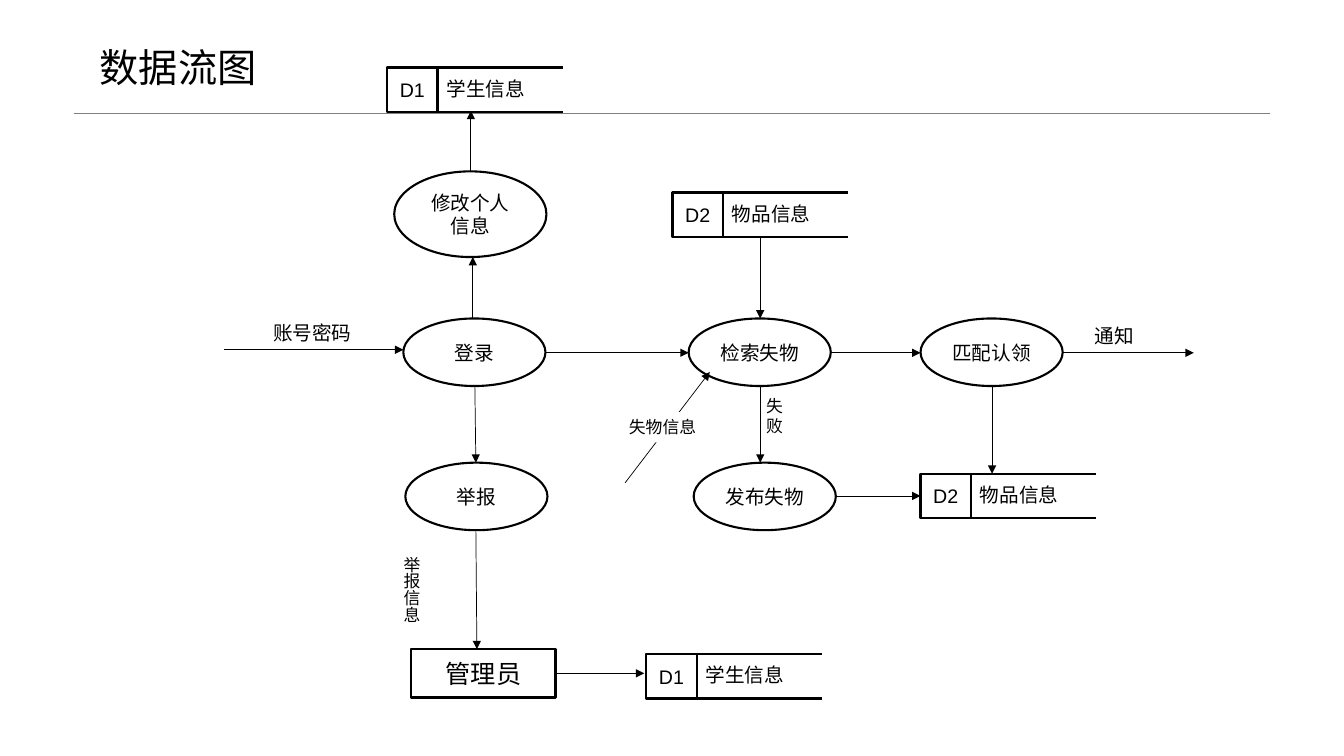
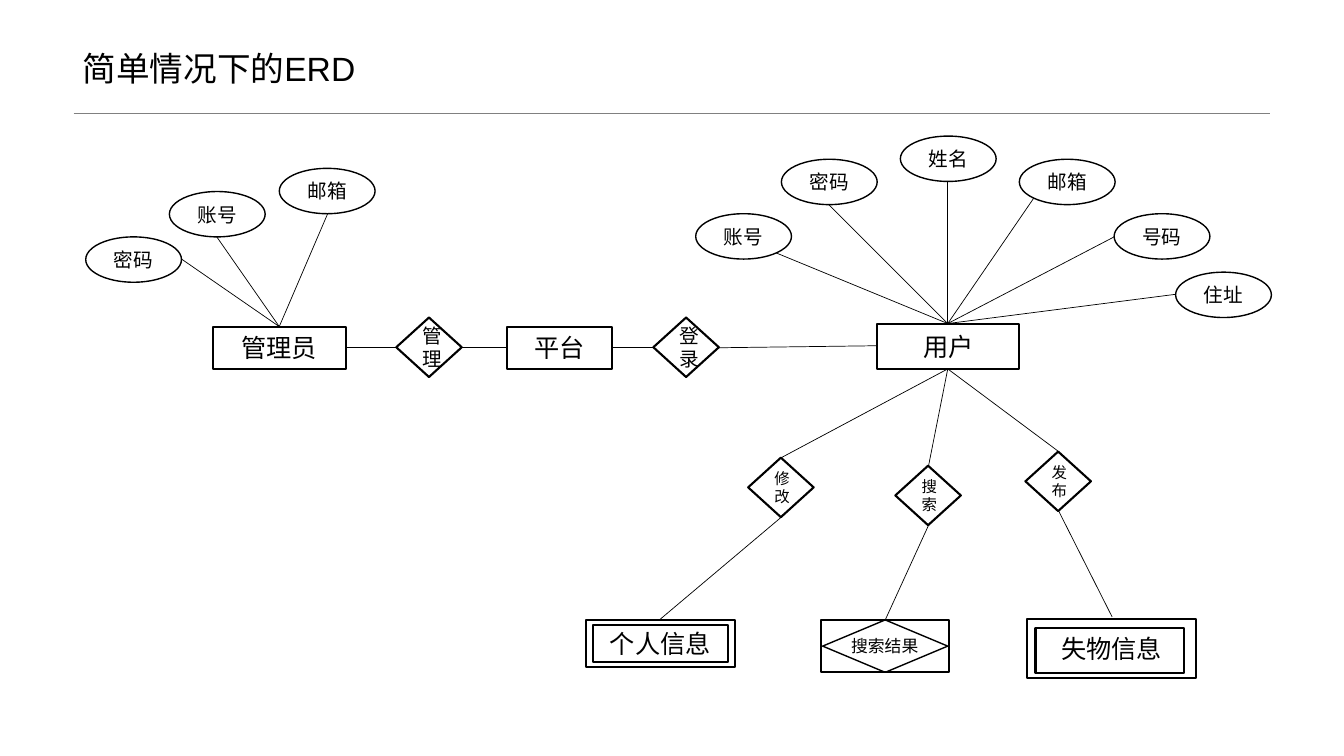
from dataclasses import dataclass
from typing import Any

from lxml.etree import SubElement
from pptx import Presentation
from pptx.dml.color import RGBColor
from pptx.enum.shapes import MSO_CONNECTOR as Conn, MSO_SHAPE as Kind
from pptx.enum.text import MSO_ANCHOR as Anchor, MSO_AUTO_SIZE as Fit, PP_ALIGN as Align
from pptx.oxml.ns import qn
from pptx.util import Inches, Pt

BLACK = RGBColor(0, 0, 0)
GREY = RGBColor(128, 128, 128)
WHITE = RGBColor(255, 255, 255)
FONT = "Arial"
FRAME = {"word_wrap": True, "auto_size": Fit.NONE}
Spot = tuple[float, float]


@dataclass
class Node:
    text: str
    x: float
    y: float
    w: float
    h: float
    kind: Kind = Kind.RECTANGLE
    size: float = 18
    line: float = 1.5


@dataclass
class Label:
    text: str
    x: float
    y: float
    w: float
    h: float = 0.34
    size: float = 14
    fill: bool = False
    vert: bool = False


@dataclass
class Store:
    code: str
    name: str
    x: float
    y: float


@dataclass
class Link:
    start: Spot
    end: Spot
    tip: bool = False
    width: float = 0.5
    color: RGBColor = BLACK


def apply(item: Any, values: dict[str, Any]) -> None:
    for key, value in values.items():
        setattr(item, key, value)


def write(shape: Any, text: str, size: float, align: Align, anchor: Anchor) -> None:
    frame = shape.text_frame
    apply(frame, FRAME | {"vertical_anchor": anchor})
    frame.text = text
    para = frame.paragraphs[0]
    para.alignment = align
    apply(para.runs[0].font, {"name": FONT, "size": Pt(size)})
    para.runs[0].font.color.rgb = BLACK


def place(item: Any) -> list[int]:
    return [Inches(v) for v in (item.x, item.y, item.w, item.h)]


def draw_link(slide: Any, link: Link) -> Any:
    ends = [Inches(v) for v in link.start + link.end]
    wire = slide.shapes.add_connector(Conn.STRAIGHT, *ends)
    wire.line.width = Pt(link.width)
    wire.line.color.rgb = link.color
    props = wire.element.spPr
    if link.tip:
        SubElement(props.find(qn("a:ln")), qn("a:tailEnd"), type="triangle")
    SubElement(props, qn("a:effectLst"))
    return wire


def draw_node(slide: Any, node: Node) -> None:
    shape = slide.shapes.add_shape(node.kind, *place(node))
    shape.shadow.inherit = False
    shape.fill.background()
    shape.line.width = Pt(node.line)
    shape.line.color.rgb = BLACK
    if node.text:
        write(shape, node.text, node.size, Align.CENTER, Anchor.MIDDLE)


def draw_label(slide: Any, label: Label) -> None:
    box = slide.shapes.add_textbox(*place(label))
    if label.fill:
        box.fill.solid()
        box.fill.fore_color.rgb = WHITE
    write(box, label.text, label.size, Align.LEFT, Anchor.TOP)
    if label.vert:
        box.text_frame._txBody.bodyPr.set("vert", "eaVert")


def draw_store(slide: Any, store: Store) -> None:
    x, y = store.x, store.y
    draw_node(slide, Node(store.code, x, y, 0.5, 0.44, size=14))
    for edge in (y, y + 0.44):
        draw_link(slide, Link((x + 0.49, edge), (x + 1.74, edge), width=1.5))
    draw_label(slide, Label(store.name, x + 0.49, y + 0.04, 1))


DRAW = {Node: draw_node, Label: draw_label, Store: draw_store, Link: draw_link}


def draw(slide: Any, items: list[Any]) -> None:
    for item in items:
        DRAW[type(item)](slide, item)


def add_page(deck: Any, head: Label) -> Any:
    slide = deck.slides.add_slide(deck.slide_layouts[5])
    title = slide.shapes.title
    spots = dict(zip(("left", "top", "width", "height"), place(head)))
    apply(title, spots)
    write(title, head.text, head.size, Align.LEFT, Anchor.TOP)
    return slide


def step(text: str, x: float, y: float) -> Node:
    return Node(text, x, y, 1.41, 0.67, Kind.OVAL, 14)


def trait(text: str, x: float, y: float) -> Node:
    return Node(text, x, y, 0.95, 0.45, Kind.OVAL, 14, 1)


def deed(text: str, x: float, y: float, size: float) -> Node:
    return Node(text, x, y, 0.65, 0.59, Kind.DIAMOND, size)


def fan(hub: Spot, ends: list[Spot]) -> list[Link]:
    return [Link(hub, end) for end in ends]


deck = Presentation()
apply(deck, {"slide_width": Inches(13.33), "slide_height": Inches(7.5)})

flow = add_page(deck, Label("数据流图", 0.89, 0.38, 3.45, 0.57, 28))
rule = draw_link(flow, Link((0.73, 1.12), (12.6, 1.12), width=0.25, color=GREY))
deck.slide_layouts[5].element.cSld.spTree.append(rule.element)

arrows = [
    ((2.22, 3.47), (4, 3.47)),
    ((10.54, 3.5), (11.84, 3.5)),
    ((4.67, 1.7), (4.67, 1.1)),
    ((5.41, 3.5), (6.83, 3.5)),
    ((8.24, 3.5), (9.13, 3.5)),
    ((7.54, 3.83), (7.54, 4.59)),
    ((4.69, 3.16), (4.69, 2.55)),
    ((7.54, 2.35), (7.54, 3.16)),
    ((6.2, 4.79), (7.04, 3.69)),
    ((4.71, 3.84), (4.72, 4.59)),
    ((4.72, 5.26), (4.73, 6.44)),
    ((8.29, 4.92), (9.13, 4.92)),
    ((9.84, 3.83), (9.84, 4.7)),
    ((5.5, 6.68), (6.39, 6.68)),
]
draw(flow, [Link(start, end, tip=True) for start, end in arrows])
draw(flow, [
    step("登录", 4, 3.16),
    step("检索失物", 6.83, 3.16),
    step("匹配认领", 9.13, 3.16),
    step("举报", 4.02, 4.59),
    step("发布失物", 6.88, 4.59),
    Node("修改个人信息", 3.91, 1.7, 1.51, 0.85, Kind.OVAL, 14),
    Node("管理员", 4.08, 6.44, 1.43, 0.48),
    Store("D1", "学生信息", 3.84, 0.67),
    Store("D2", "物品信息", 6.67, 1.91),
    Store("D2", "物品信息", 9.13, 4.7),
    Store("D1", "学生信息", 6.41, 6.49),
    Label("账号密码", 2.61, 3.13, 1.13),
    Label("通知", 10.76, 3.16, 0.65),
    Label("失物信息", 6.14, 4.09, 1, 0.3, 12, fill=True),
    Label("失败", 7.5, 3.88, 0.35, 0.5, 12),
    Label("举报信息", 3.83, 5.42, 0.4, 0.87, 12, vert=True),
])

erd = add_page(deck, Label("简单情况下的ERD", 0.72, 0.43, 3.68, 0.5, 24))
draw(erd, [
    Node("用户", 8.7, 3.21, 1.41, 0.45),
    Node("管理员", 2.11, 3.24, 1.32, 0.42),
    Node("平台", 5.03, 3.24, 1.04, 0.42),
    Node("失物信息", 10.19, 6.14, 1.67, 0.59),
    Node("", 10.27, 6.23, 1.47, 0.45),
    Node("个人信息", 5.88, 6.2, 1.34, 0.37),
    Node("", 5.81, 6.15, 1.48, 0.47),
    Node("搜索结果", 8.14, 6.15, 1.27, 0.52, size=12),
    Node("", 8.16, 6.15, 1.24, 0.52, Kind.DIAMOND, line=1),
    deed("管理", 3.93, 3.15, 14),
    deed("登录", 6.48, 3.15, 14),
    deed("修改", 7.42, 4.54, 11),
    deed("搜索", 8.88, 4.62, 11),
    deed("发布", 10.17, 4.48, 11),
    trait("密码", 0.85, 2.35),
    trait("账号", 1.68, 1.9),
    trait("邮箱", 2.77, 1.67),
    trait("账号", 6.9, 2.12),
    trait("密码", 7.75, 1.58),
    trait("姓名", 8.93, 1.35),
    trait("邮箱", 10.11, 1.58),
    trait("号码", 11.05, 2.12),
    trait("住址", 11.66, 2.7),
])
draw(erd, fan((2.77, 3.24), [(1.8, 2.57), (2.15, 2.35), (3.25, 2.12)]))
draw(erd, fan((9.4, 3.21), [
    (7.7, 2.51), (8.22, 2.03), (9.4, 1.8),
    (10.25, 1.97), (11.05, 2.35), (11.66, 2.92),
]))
draw(erd, fan((9.4, 3.66), [(7.75, 4.54), (9.21, 4.62), (10.5, 4.48)]))
draw(erd, [
    Link((3.43, 3.45), (3.93, 3.45)),
    Link((4.58, 3.45), (5.03, 3.45)),
    Link((6.07, 3.45), (6.48, 3.45)),
    Link((7.13, 3.45), (8.7, 3.43)),
    Link((7.75, 5.13), (6.54, 6.15)),
    Link((9.21, 5.21), (8.78, 6.15)),
    Link((10.5, 5.07), (11.03, 6.12)),
])

deck.save("out.pptx")
